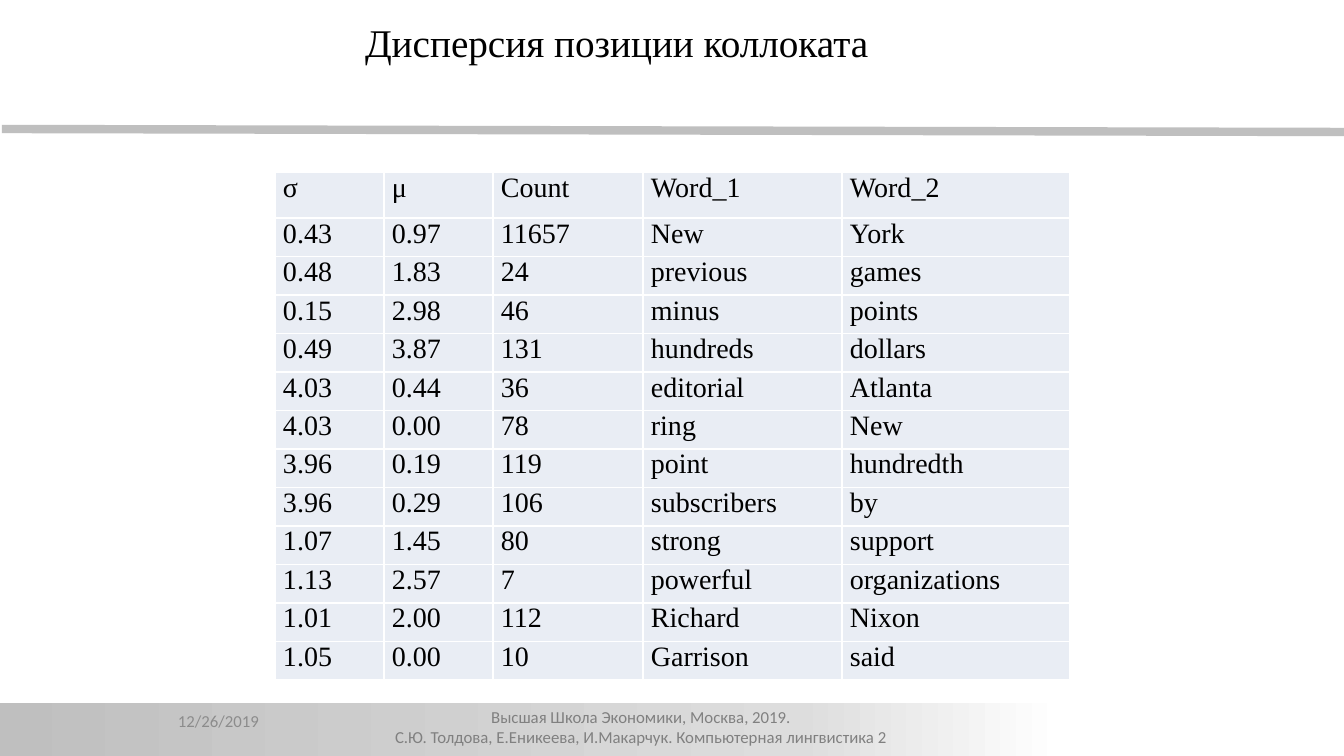
import copy

import lxml.etree
import pptx
import pptx.dml.color
import pptx.enum.shapes
import pptx.enum.text
import pptx.oxml
import pptx.oxml.ns
import pptx.util

RGB = pptx.dml.color.RGBColor
BLACK = RGB(0x00, 0x00, 0x00)
WHITE = RGB(0xFF, 0xFF, 0xFF)
RULE_GREY = RGB(0xBF, 0xBF, 0xBF)
MID_GREY = RGB(0xDD, 0xDD, 0xDD)
FOOTER_GREY = RGB(0x80, 0x80, 0x80)
DATE_GREY = RGB(0x8C, 0x8C, 0x8C)
CELL_FILL = RGB(0xE9, 0xED, 0xF4)

SERIF, SANS = "Times New Roman", "Calibri"
EMU_PER_PX = 914400 / 100.8
LEFT = pptx.enum.text.PP_ALIGN.LEFT
CENTER = pptx.enum.text.PP_ALIGN.CENTER
TOP = pptx.enum.text.MSO_ANCHOR.TOP
MIDDLE = pptx.enum.text.MSO_ANCHOR.MIDDLE

HEADER_HEIGHT = 46
COLUMN_WIDTHS = [109, 109, 150, 199, 228]
COLLOCATIONS = [
    ["σ", "μ", "Сount", "Word_1", "Word_2"],
    ["0.43", "0.97", "11657", "New", "York"],
    ["0.48", "1.83", "24", "previous", "games"],
    ["0.15", "2.98", "46", "minus", "points"],
    ["0.49", "3.87", "131", "hundreds", "dollars"],
    ["4.03", "0.44", "36", "editorial", "Atlanta"],
    ["4.03", "0.00", "78", "ring", "New"],
    ["3.96", "0.19", "119", "point", "hundredth"],
    ["3.96", "0.29", "106", "subscribers", "by"],
    ["1.07", "1.45", "80", "strong", "support"],
    ["1.13", "2.57", "7", "powerful", "organizations"],
    ["1.01", "2.00", "112", "Richard", "Nixon"],
    ["1.05", "0.00", "10", "Garrison", "said"],
]


def px(n):
    return pptx.util.Emu(round(n * EMU_PER_PX))


def set_all(target, values):
    for name, value in values.items():
        setattr(target, name, value)


def write(tf, lines, font, size, color, align=LEFT):
    """Fill a text frame with one paragraph per line."""
    for i, line in enumerate(lines):
        p = tf.add_paragraph() if i else tf.paragraphs[0]
        p.alignment = align
        r = p.add_run()
        r.text = line
        set_all(r.font, {"name": font, "size": pptx.util.Pt(size)})
        r.font.color.rgb = color


def add_text(s, box, lines, size, color, align=LEFT, anchor=TOP):
    tf = s.shapes.add_textbox(*map(px, box)).text_frame
    set_all(tf, {"word_wrap": True, "vertical_anchor": anchor})
    write(tf, lines, SANS, size, color, align)


def place_title(s, box, text):
    sp = s.shapes.title
    set_all(sp, dict(zip(("left", "top", "width", "height"), map(px, box))))
    tf = sp.text_frame
    set_all(tf, {"word_wrap": True, "vertical_anchor": TOP,
                 "auto_size": pptx.enum.text.MSO_AUTO_SIZE.SHAPE_TO_FIT_TEXT})
    write(tf, [text], SERIF, 28, BLACK)


def add_rule(s, box):
    x, y, w, h = box
    line = s.shapes.add_connector(pptx.enum.shapes.MSO_CONNECTOR.STRAIGHT,
                                  px(x), px(y), px(x + w), px(y + h))
    line.line.color.rgb = RULE_GREY
    line.line.width = pptx.util.Pt(6)
    lxml.etree.SubElement(line._element.spPr, pptx.oxml.ns.qn("a:effectLst"))


def add_footer(s, box):
    x, y, w, h = box
    bar = s.shapes.add_shape(pptx.enum.shapes.MSO_SHAPE.RECTANGLE, *map(px, box))
    bar.shadow.inherit = False
    bar.line.fill.background()
    bar.fill.gradient()
    bar.fill.gradient_angle = 0
    stops = bar._element.spPr.find(".//" + pptx.oxml.ns.qn("a:gsLst"))
    stops.insert(1, copy.deepcopy(stops[0]))
    shades = [(0, RULE_GREY), (0.75, MID_GREY), (1, WHITE)]
    for stop, (position, color) in zip(bar.fill.gradient_stops, shades):
        stop.position = position
        stop.color.rgb = color
    add_text(s, (x + 257, y - 1, 774, 45),
             ["Высшая Школа Экономики, Москва, 2019. ",
              "С.Ю. Толдова, Е.Еникеева, И.Макарчук. Компьютерная лингвистика 2 "],
             12, FOOTER_GREY, CENTER)
    add_text(s, (x + 169, y - 2, 235, 40), ["12/26/2019"], 12, DATE_GREY,
             anchor=MIDDLE)


def add_borders(cell):
    tcPr = cell._tc.get_or_add_tcPr()
    for side in "LRTB":
        tcPr.append(pptx.oxml.parse_xml(
            f'<a:ln{side} {pptx.oxml.ns.nsdecls("a")} w="{pptx.util.Pt(1)}">'
            f'<a:solidFill><a:srgbClr val="{WHITE}"/></a:solidFill></a:ln{side}>'))


def add_collocation_table(s, box):
    table = s.shapes.add_table(len(COLLOCATIONS), len(COLUMN_WIDTHS),
                               *map(px, box)).table
    set_all(table, {"first_row": False, "horz_banding": False})
    for column, width in zip(table.columns, COLUMN_WIDTHS):
        column.width = px(width)
    row_height = (box[3] - HEADER_HEIGHT) / (len(COLLOCATIONS) - 1)
    for i, (row, words) in enumerate(zip(table.rows, COLLOCATIONS)):
        row.height = px(row_height if i else HEADER_HEIGHT)
        for cell, word in zip(row.cells, words):
            set_all(cell, {"margin_left": px(8), "margin_right": px(8),
                           "margin_top": 0, "margin_bottom": 0})
            add_borders(cell)
            cell.fill.solid()
            cell.fill.fore_color.rgb = CELL_FILL
            write(cell.text_frame, [word], SERIF, 20, BLACK)


def main():
    prs = pptx.Presentation()
    set_all(prs, {"slide_width": px(1344), "slide_height": px(756)})
    s = prs.slides.add_slide(prs.slide_layouts[5])
    add_rule(s, (2, 129, 1344, 3))
    add_footer(s, (-1, 703, 1064, 57))
    add_collocation_table(s, (275, 172, sum(COLUMN_WIDTHS), 508))
    place_title(s, (355, 13, 776, 57), "Дисперсия позиции коллоката")
    prs.save("out.pptx")


if __name__ == "__main__":
    main()
